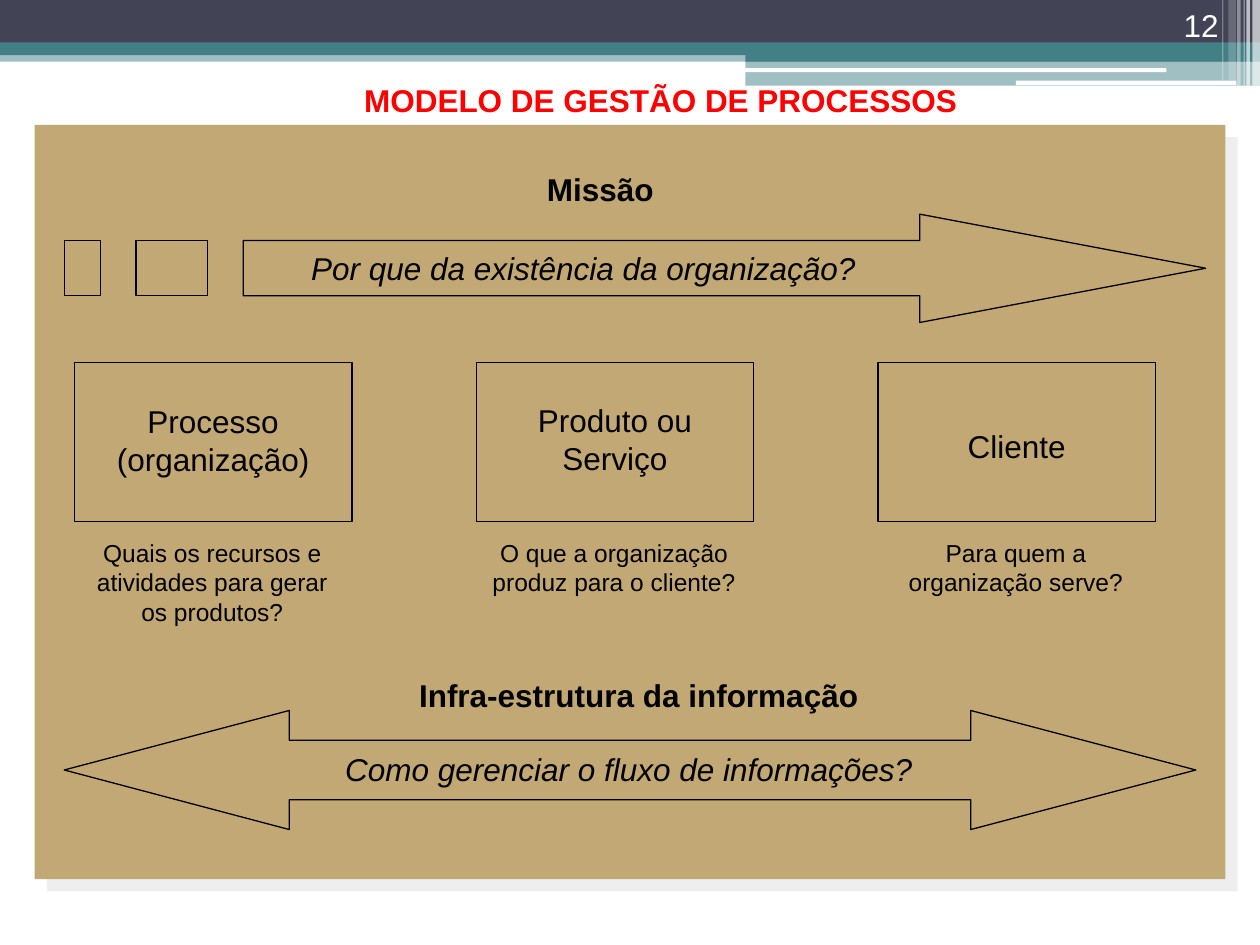
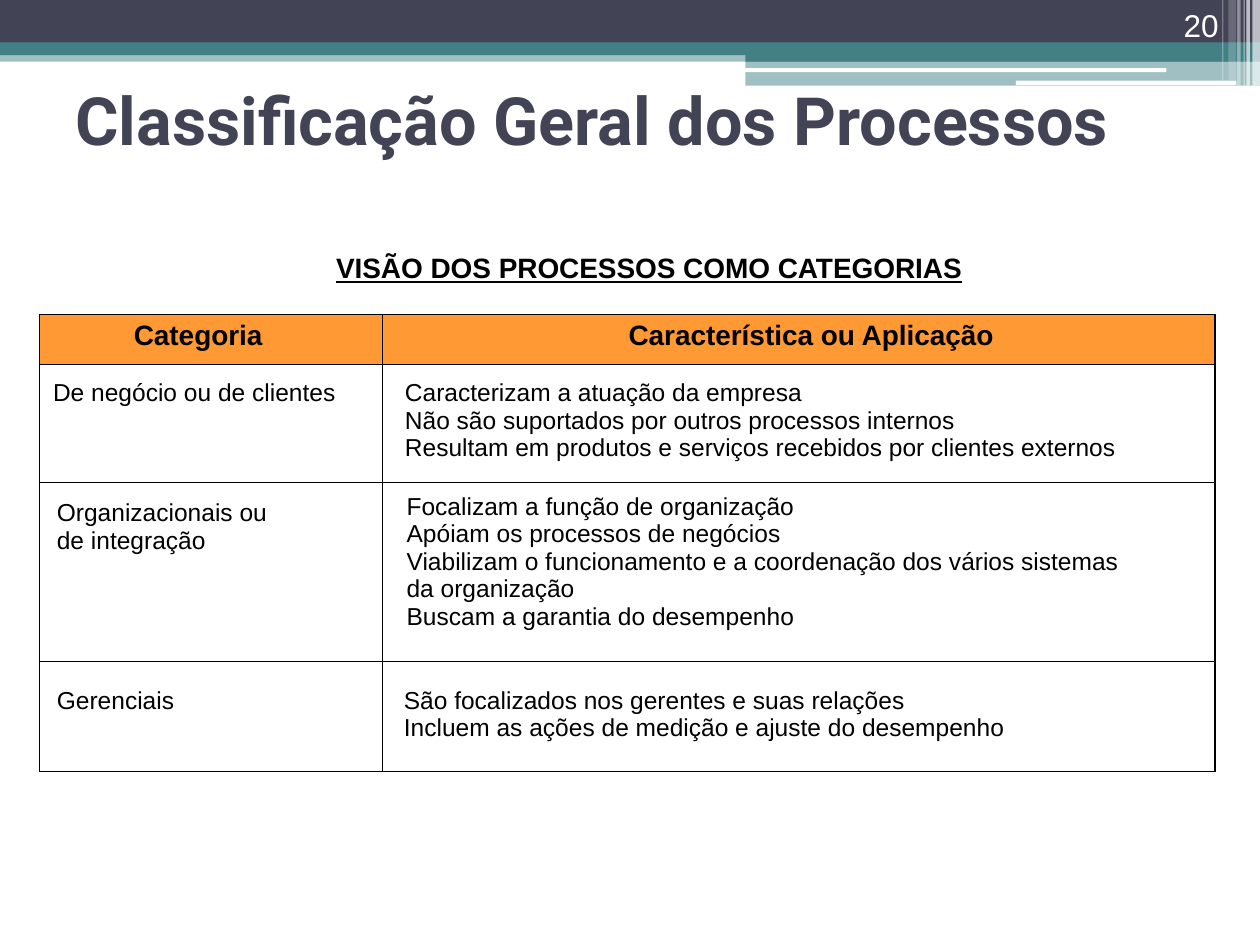
from lxml import etree
from pptx import Presentation
from pptx.dml.color import RGBColor
from pptx.enum import shapes, text
from pptx.oxml import ns
from pptx.util import Pt

BLACK = RGBColor(0, 0, 0)
WHITE = RGBColor(255, 255, 255)
RED = RGBColor(255, 0, 0)
INK = RGBColor(0x42, 0x44, 0x56)
TEAL = RGBColor(0x43, 0x80, 0x86)
TAN = RGBColor(0xC2, 0xA8, 0x74)
ORANGE = RGBColor(0xFF, 0x99, 0x33)
KIND = shapes.MSO_SHAPE
MID, RIGHT = text.PP_ALIGN.CENTER, text.PP_ALIGN.RIGHT

# Shared bands: left, top, width, height, colour, opacity in percent
BANDS = [
    (0, 28.8, 720, 6.5, TEAL, 50),
    (0, 0, 720, 24.5, INK, 100),
    (0, 24.3, 720, 7.2, TEAL, 100),
    (426, 28, 294, 7.2, TEAL, 100),
    (426, 35, 294, 14, TEAL, 50),
]
BARS = [(425.5, 39, 241, 2.2), (580.5, 46.1, 126, 2.6)]
# Strips at the right edge: left, width, height, opacity
STRIPS = [(715.7, 4.3, 49, 65), (712.2, 2, 49, 65), (710.6, 0.7, 49, 60),
          (707, 2, 49, 40), (702, 4.3, 46, 20), (698.4, 0.7, 46, 30)]

# Process model: centre x, top, text, format
LINES = [
    (377.6, 42.5, "MODELO DE GESTÃO DE PROCESSOS", dict(bold=True, color=RED)),
    (343, 93.6, "Missão", dict(bold=True)),
    (333.4, 139, "Por que da existência da organização?", dict(italic=True)),
    (359.3, 424.8, "Como gerenciar o fluxo de informações?", dict(italic=True)),
    (365, 383, "Infra-estrutura da informação", dict(bold=True)),
]
# Stages: label top, label, question
STAGES = [
    (226, ["Processo", "(organização)"],
     "Quais os recursos e atividades para gerar os produtos?"),
    (225.5, ["Produto ou Serviço"], "O que a organização produz para o cliente?"),
    (240.5, ["Cliente"], "Para quem a organização serve?"),
]
STAGE_X, STAGE_W, STEP = 42.5, 158.6, 229.6
ARROW = [
    [(525.6, 122.4), (525.6, 137.5), (139, 137.5), (139, 169),
     (525.6, 169), (525.6, 184.3), (689, 153.3)],
    [(77.8, 137.5), (77.8, 169), (118.4, 169), (118.4, 137.5)],
    [(36.7, 137.5), (36.7, 169), (57.6, 169), (57.6, 137.5)],
]

# Category table: rows of (height, cells); a cell is (lines, margins l, t, r)
COLS = [195.9, 475.9]
ROWS = [
    (28.7, [(["Categoria"], (0, 3.6, 14.4)),
            (["Característica ou Aplicação"], (14.4, 3.6, 0))]),
    (67.8, [(["De negócio ou de clientes"], (7.8, 8.6, 7)),
            (["Caracterizam a atuação da empresa",
              "Não são suportados por outros processos internos",
              "Resultam em produtos e serviços recebidos por clientes externos"],
             (13, 8.6, 36))]),
    (102.2, [(["Organizacionais ou de integração"], (10, 9.4, 60)),
             (["Focalizam a função de organização",
               "Apóiam os processos de negócios",
               "Viabilizam o funcionamento e a coordenação dos vários sistemas "
               "da organização",
               "Buscam a garantia do desempenho"], (14, 5.8, 36))]),
    (62.6, [(["Gerenciais"], (10, 14.4, 7)),
            (["São focalizados nos gerentes e suas relações",
              "Incluem as ações de medição e ajuste do desempenho"],
             (12.4, 14.4, 36))]),
]


def node(parent, tag, **attrs):
    return etree.SubElement(parent, ns.qn(tag), attrs)


def write(frame, lines, size=18, font="Arial", color=BLACK, bold=False,
          italic=False, under=False, align=None):
    for i, line in enumerate([lines] if isinstance(lines, str) else lines):
        par = frame.paragraphs[0] if i == 0 else frame.add_paragraph()
        par.alignment = align
        run = par.add_run()
        run.text = line
        style = run.font
        style.size, style.name, style.color.rgb = Pt(size), font, color
        style.bold, style.italic, style.underline = bold, italic, under


def label(slide, box, lines, wrap=True, anchor=text.MSO_ANCHOR.TOP, **style):
    frame = slide.shapes.add_textbox(*map(Pt, box)).text_frame
    frame.word_wrap, frame.vertical_anchor = wrap, anchor
    write(frame, lines, **style)


def centred(slide, mid, top, lines, wide=480, **style):
    label(slide, (mid - wide / 2, top, wide, 29), lines, align=MID, **style)


def paint(shape, fill=None, alpha=100, line=None):
    shape.shadow.inherit = False
    if fill is None:
        shape.fill.background()
    else:
        shape.fill.solid()
        shape.fill.fore_color.rgb = fill
        if alpha < 100:
            tint = shape.fill._xPr.find(ns.qn("a:solidFill"))[0]
            node(tint, "a:alpha", val=str(alpha * 1000))
    if line is None:
        shape.line.fill.background()
    else:
        shape.line.color.rgb, shape.line.width = line, Pt(0.75)
    return shape


def draw(slide, kind, box, **look):
    return paint(slide.shapes.add_shape(kind, *map(Pt, box)), **look)


def shade(shape):
    cast = node(shape._element.spPr.find(ns.qn("a:effectLst")), "a:outerShdw",
                dist=str(Pt(9.9)), dir="2700000", algn="ctr", rotWithShape="0")
    node(node(cast, "a:srgbClr", val="DEDEDE"), "a:alpha", val="50000")


def start(deck, number):
    slide = deck.slides.add_slide(deck.slide_layouts[6])
    for *box, fill, alpha in BANDS:
        draw(slide, KIND.RECTANGLE, box, fill=fill, alpha=alpha)
    for box in BARS:
        draw(slide, KIND.ROUNDED_RECTANGLE, box, fill=WHITE)
    for left, wide, high, alpha in STRIPS:
        draw(slide, KIND.RECTANGLE, (left, 0, wide, high), fill=WHITE, alpha=alpha)
    label(slide, (643.7, 0, 59.8, 28.8), number, color=WHITE, align=RIGHT,
          anchor=text.MSO_ANCHOR.BOTTOM)
    return slide


def model(deck):
    slide = start(deck, "12")
    shade(draw(slide, KIND.RECTANGLE, (19.8, 71.4, 680.4, 431), fill=TAN))
    # Mission arrow with its two trailing blocks
    pen = None
    for ring in ARROW:
        first, *rest = [tuple(map(Pt, spot)) for spot in ring]
        if pen is None:
            pen = slide.shapes.build_freeform(*first, scale=1.0)
        else:
            pen.move_to(*first)
        pen.add_line_segments(rest, close=True)
    paint(pen.convert_to_shape(), line=BLACK)
    # Information arrow
    flow = draw(slide, KIND.LEFT_RIGHT_ARROW, (36.7, 406, 646.6, 68), line=BLACK)
    flow.adjustments[0], flow.adjustments[1] = 0.5, 1.89
    # Stages
    for i, (top, name, ask) in enumerate(STAGES):
        left = STAGE_X + i * STEP
        mid = left + STAGE_W / 2
        draw(slide, KIND.RECTANGLE, (left, 207, STAGE_W, 91), line=BLACK)
        centred(slide, mid, top, name, wide=140)
        centred(slide, mid - 0.5, 303.8, ask, wide=154.8, size=14)
    for mid, top, line, style in LINES:
        centred(slide, mid, top, line, **style)


def edge(cell):
    props = cell._tc.get_or_add_tcPr()
    for i, side in enumerate(("a:lnL", "a:lnR", "a:lnT", "a:lnB")):
        rule = etree.Element(ns.qn(side), w=str(Pt(0.75)))
        node(node(rule, "a:solidFill"), "a:srgbClr", val=str(BLACK))
        props.insert(i, rule)


def classes(deck):
    slide = start(deck, "20")
    label(slide, (36, 36, 648, 64), "Classificação Geral dos Processos", size=38,
          font="Roboto", color=INK, bold=True, anchor=text.MSO_ANCHOR.MIDDLE)
    centred(slide, 371, 139.8, "VISÃO DOS PROCESSOS COMO CATEGORIAS",
            size=16, bold=True, under=True)
    high = sum(row[0] for row in ROWS)
    box = map(Pt, (22.5, 179.5, sum(COLS), high))
    grid = slide.shapes.add_table(len(ROWS), len(COLS), *box).table
    grid.horz_banding = False
    for col, wide in zip(grid.columns, COLS):
        col.width = Pt(wide)
    for r, (high, cells) in enumerate(ROWS):
        grid.rows[r].height = Pt(high)
        head = r == 0
        for c, (lines, (left, top, right)) in enumerate(cells):
            cell = grid.cell(r, c)
            cell.margin_left, cell.margin_right = Pt(left), Pt(right)
            cell.margin_top, cell.margin_bottom = Pt(top), Pt(2)
            cell.fill.solid()
            cell.fill.fore_color.rgb = ORANGE if head else WHITE
            edge(cell)
            write(cell.text_frame, lines, size=16 if head else 14, bold=head,
                  align=MID if head else None)


def main():
    deck = Presentation()
    deck.slide_width, deck.slide_height = Pt(720), Pt(540)
    model(deck)
    classes(deck)
    deck.save("out.pptx")


if __name__ == "__main__":
    main()
